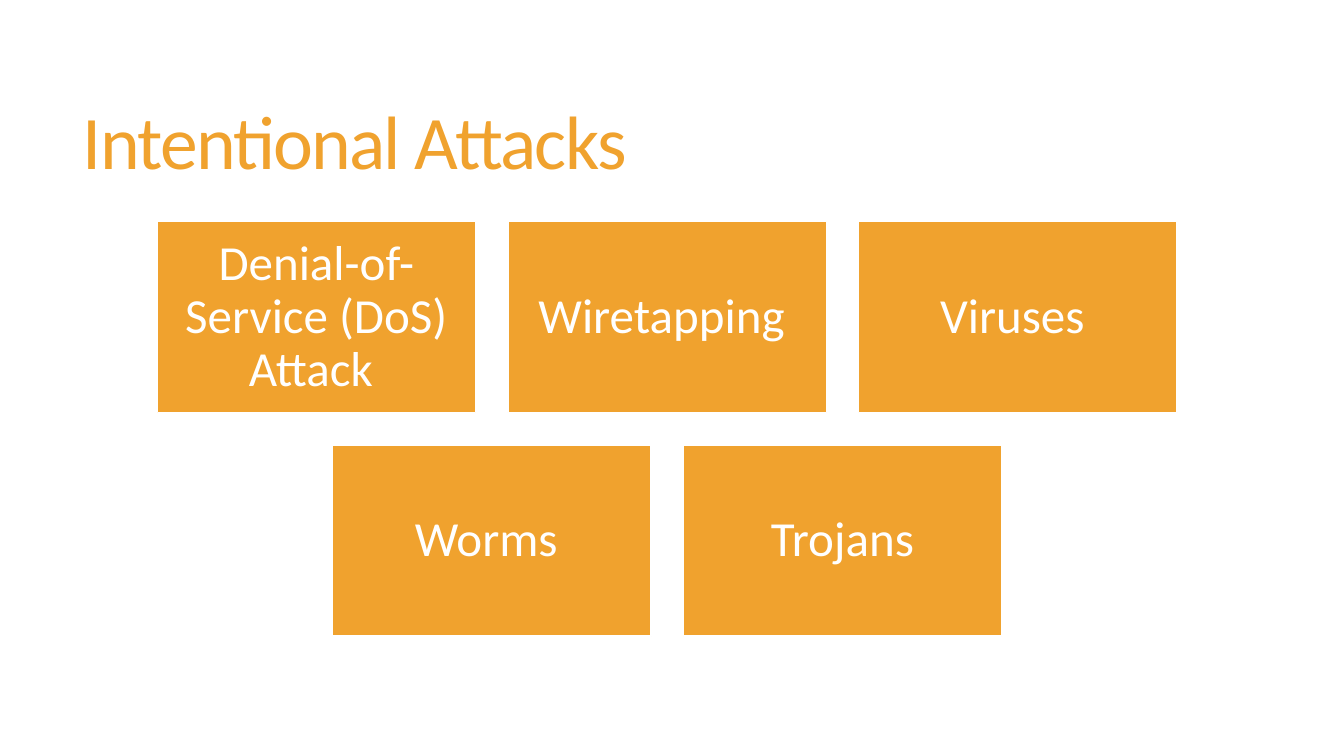
from dataclasses import dataclass

from pptx import Presentation
from pptx.dml.color import RGBColor
from pptx.enum.shapes import MSO_SHAPE
from pptx.enum.text import MSO_ANCHOR, MSO_AUTO_SIZE, PP_ALIGN
from pptx.util import Pt


@dataclass(frozen=True)
class Theme:
    face: str = "Calibri"
    amber: RGBColor = RGBColor(0xF0, 0xA2, 0x2E)
    white: RGBColor = RGBColor(0xFF, 0xFF, 0xFF)
    head: int = 54
    body: int = 35


WIDE, TALL, GAP = 227.5, 136.5, 23
MID, TOP = 476.6, 158.4
ROWS = [
    ["Denial-of-Service (DoS) Attack ", "Wiretapping ", "Viruses "],
    ["Worms ", "Trojans"],
]


def apply(item, form):
    for name, value in form.items():
        setattr(item, name, value)


class Deck:
    def __init__(self, theme):
        self.theme = theme
        self.file = Presentation()
        apply(self.file, {"slide_width": Pt(960), "slide_height": Pt(540)})
        self.slide = self.file.slides.add_slide(self.file.slide_layouts[5])

    def label(self, shape, text, size, color, align, lead, inset):
        """Put one styled paragraph in the shape and return its run."""
        frame = shape.text_frame
        apply(frame, {
            "word_wrap": True,
            "auto_size": MSO_AUTO_SIZE.NONE,
            "vertical_anchor": MSO_ANCHOR.MIDDLE,
            "margin_left": Pt(inset[0]), "margin_right": Pt(inset[0]),
            "margin_top": Pt(inset[1]), "margin_bottom": Pt(inset[1]),
        })
        para = frame.paragraphs[0]
        apply(para, {"alignment": align, "line_spacing": lead})
        run = para.add_run()
        run.text = text
        apply(run.font, {"name": self.theme.face, "size": Pt(size)})
        run.font.color.rgb = color
        return run

    def title(self, text, left, top, width, height):
        shape = self.slide.shapes.title
        apply(shape, {"left": Pt(left), "top": Pt(top),
                      "width": Pt(width), "height": Pt(height)})
        run = self.label(shape, text, self.theme.head, self.theme.amber,
                         PP_ALIGN.LEFT, 0.85, (7.2, 3.6))
        run._r.get_or_add_rPr().set("spc", "-120")

    def card(self, text, left, top):
        shape = self.slide.shapes.add_shape(
            MSO_SHAPE.RECTANGLE, Pt(left), Pt(top), Pt(WIDE), Pt(TALL))
        shape.shadow.inherit = False
        shape.fill.solid()
        shape.fill.fore_color.rgb = self.theme.amber
        shape.line.color.rgb = self.theme.white
        shape.line.width = Pt(1)
        self.label(shape, text, self.theme.body, self.theme.white,
                   PP_ALIGN.CENTER, 0.9, (10.5, 10.5))

    def grid(self, rows):
        """Lay out rows of cards, each row centred on MID."""
        for row, texts in enumerate(rows):
            span = len(texts) * (WIDE + GAP) - GAP
            for col, text in enumerate(texts):
                self.card(text, MID - span / 2 + col * (WIDE + GAP),
                          TOP + row * (TALL + GAP))


def main():
    deck = Deck(Theme())
    deck.title("Intentional Attacks", 52, 39.5, 848, 130.5)
    deck.grid(ROWS)
    deck.file.save("out.pptx")


if __name__ == "__main__":
    main()
